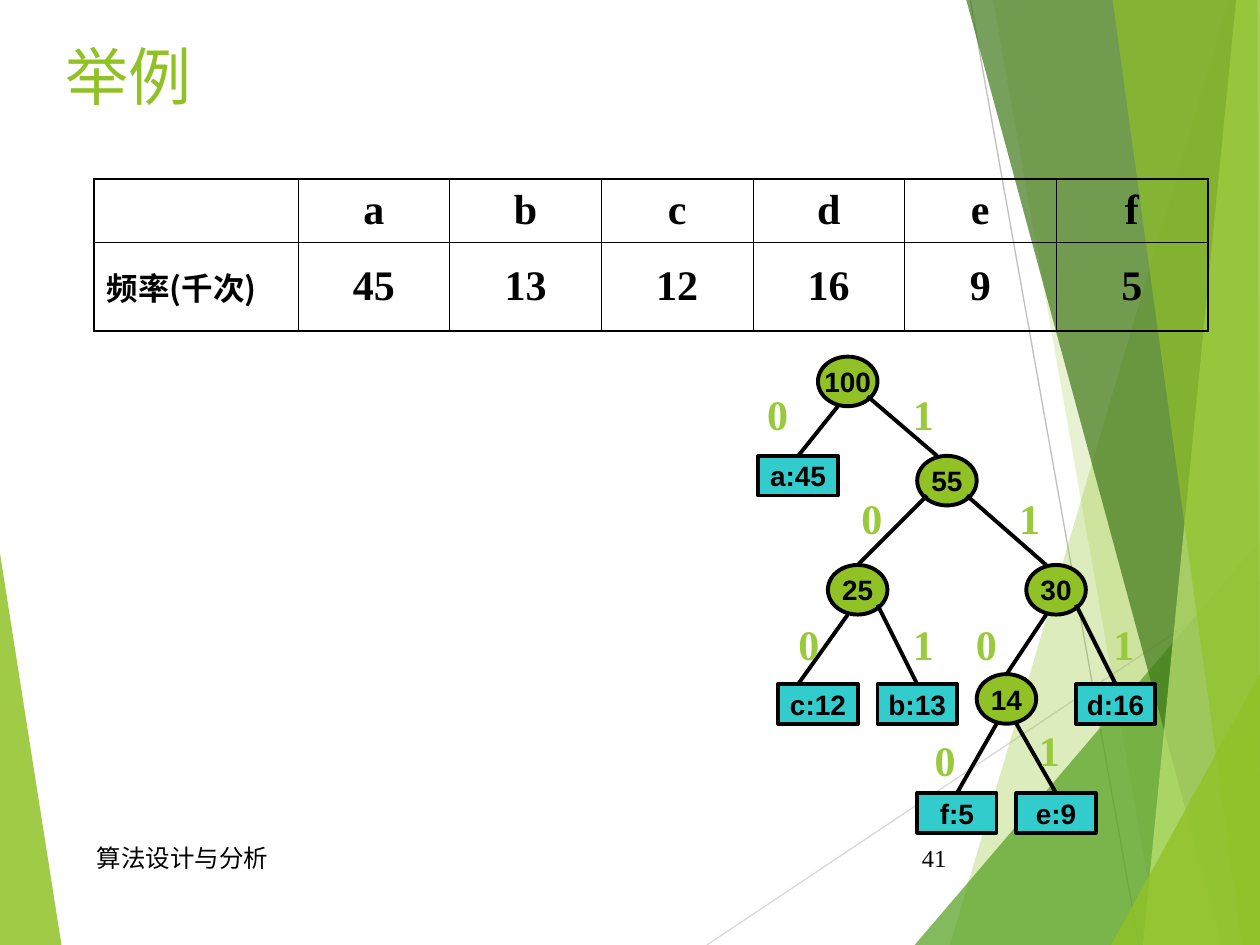
from lxml.etree import SubElement
from pptx import Presentation
from pptx.dml.color import RGBColor
from pptx.enum.shapes import MSO_CONNECTOR as Connector, MSO_SHAPE as Shape
from pptx.enum.text import MSO_ANCHOR as Anchor, PP_ALIGN as Align
from pptx.oxml import parse_xml
from pptx.oxml.ns import nsdecls, qn
from pptx.util import Cm, Pt

BLACK = RGBColor(0x00, 0x00, 0x00)
LIME = RGBColor(0x90, 0xC2, 0x26)
LABEL_GREEN = RGBColor(0x99, 0xCA, 0x3C)
LEAF_GREEN = RGBColor(0x54, 0xA0, 0x21)
DARK_GREEN = RGBColor(0x3F, 0x78, 0x19)
PALE_GREEN = RGBColor(0xC0, 0xE4, 0x74)
TURQUOISE = RGBColor(0x33, 0xCC, 0xCC)
LIGHT_GRAY = RGBColor(0xD9, 0xD9, 0xD9)
GRAY = RGBColor(0xBF, 0xBF, 0xBF)

SERIF = "Times New Roman"
WIDTH, HEIGHT = 25.4, 19.05

FACETS = [
    ([(24.77, 0), (19.15, HEIGHT), (WIDTH, HEIGHT), (WIDTH, 0)], LIME, 30),
    ([(20.02, 0), (23.37, HEIGHT), (WIDTH, HEIGHT), (WIDTH, 0)], LIME, 20),
    ([(18.44, HEIGHT), (WIDTH, 10.9), (WIDTH, HEIGHT)], LEAF_GREEN, 72),
    ([(19.48, 0), (24.64, HEIGHT), (WIDTH, HEIGHT), (WIDTH, 0)], DARK_GREEN, 70),
    ([(24.92, 0), (23.04, HEIGHT), (WIDTH, HEIGHT), (WIDTH, 0)], PALE_GREEN, 70),
    ([(22.43, 0), (25.04, HEIGHT), (WIDTH, HEIGHT), (25.35, 0)], LIME, 65),
    ([(22.4, HEIGHT), (WIDTH, 13.59), (WIDTH, HEIGHT)], LIME, 80),
]

FREQUENCIES = [
    ["", "a", "b", "c", "d", "e", "f"],
    ["频率(千次)", "45", "13", "12", "16", "9", "5"],
]

INNER_NODES = [
    ("100", 1.2, 0), ("25", 1.4, 4.2), ("55", 3.2, 2),
    ("14", 4.4, 6.4), ("30", 5.4, 4.2),
]
LEAVES = [
    ("a:45", 0, 2), ("b:13", 2.4, 6.6), ("c:12", 0.4, 6.6),
    ("d:16", 6.4, 6.6), ("e:9", 5.2, 8.8), ("f:5", 3.2, 8.8),
]
BRANCHES = [
    ((1.6, 1), (0.8, 2), "0", (-0.25, 0.51)),
    ((2.2, 0.8), (3.6, 2), "1", (2.69, 0.51)),
    ((3.4, 2.8), (2, 4.2), "0", (1.65, 2.61)),
    ((4.2, 2.8), (5.8, 4.2), "1", (4.83, 2.61)),
    ((1.8, 5.2), (0.8, 6.6), "0", (0.38, 5.15)),
    ((2.4, 5), (3.2, 6.6), "1", (2.69, 5.15)),
    ((5.8, 5.2), (5, 6.4), "0", (3.96, 5.15)),
    ((6.4, 5), (7.2, 6.6), "1", (6.73, 5.15)),
    ((4.8, 7.4), (4, 8.8), "0", (3.13, 7.49)),
    ((5.2, 7.4), (6, 8.8), "1", (5.23, 7.29)),
]


def write_text(frame, text, font_name, size, color=BLACK, bold=False,
               align=Align.LEFT, anchor=Anchor.MIDDLE):
    frame.vertical_anchor = anchor
    paragraph = frame.paragraphs[0]
    paragraph.text = text
    paragraph.alignment = align
    font = paragraph.font
    font.name, font.size, font.bold = font_name, Pt(size), bold
    font.color.rgb = color


def add_text(shapes, box, text, font_name, size, **style):
    frame = shapes.add_textbox(*map(Cm, box)).text_frame
    frame.word_wrap = True
    write_text(frame, text, font_name, size, **style)


def add_line(shapes, start, end, color, width):
    line = shapes.add_connector(Connector.STRAIGHT, *map(Cm, (*start, *end)))
    line.line.color.rgb = color
    line.line.width = Pt(width)
    SubElement(line._element.spPr, qn("a:effectLst"))


def add_facet(shapes, points, color, opacity):
    corners = [(Cm(x), Cm(y)) for x, y in points]
    builder = shapes.build_freeform(*corners[0])
    builder.add_line_segments(corners[1:], close=True)
    facet = builder.convert_to_shape()
    facet.shadow.inherit = False
    facet.line.fill.background()
    facet.fill.solid()
    facet.fill.fore_color.rgb = color
    color_element = facet._element.spPr.find(".//" + qn("a:srgbClr"))
    SubElement(color_element, qn("a:alpha"), val=str(opacity * 1000))


def add_backdrop(slide):
    shapes = slide.shapes.add_group_shape().shapes
    add_facet(shapes, [(0, 11.15), (1.24, HEIGHT), (0, HEIGHT)], LIME, 85)
    add_line(shapes, (14.25, HEIGHT), (WIDTH, 11.61), LIGHT_GRAY, 0.75)
    add_line(shapes, (19.56, 0), (22.96, HEIGHT), GRAY, 0.75)
    for points, color, opacity in FACETS:
        add_facet(shapes, points, color, opacity)


def set_borders(cell, widths):
    properties = cell._tc.get_or_add_tcPr()
    for index, (side, width) in enumerate(zip("LRTB", widths)):
        properties.insert(index, parse_xml(
            f'<a:ln{side} {nsdecls("a")} w="{Pt(width)}"><a:solidFill>'
            f'<a:srgbClr val="{BLACK}"/></a:solidFill></a:ln{side}>'))


def add_frequency_table(slide, left, top, width, height):
    row_count, column_count = len(FREQUENCIES), len(FREQUENCIES[0])
    table = slide.shapes.add_table(
        row_count, column_count, *map(Cm, (left, top, width, height))).table
    heading_width, heading_height = 4.11, 1.27
    for index, column in enumerate(table.columns):
        column.width = Cm((width - heading_width) / (column_count - 1)
                          if index else heading_width)
    table.rows[0].height = Cm(heading_height)
    table.rows[1].height = Cm(height - heading_height)
    for row, values in enumerate(FREQUENCIES):
        for column, value in enumerate(values):
            cell = table.cell(row, column)
            cell.fill.background()
            outer_sides = (column == 0, column == column_count - 1,
                           row == 0, row == row_count - 1)
            set_borders(cell, [1.08 if outer else 0.45 for outer in outer_sides])
            if column:
                write_text(cell.text_frame, value, SERIF, 24, bold=True, align=Align.CENTER)
            elif value:
                write_text(cell.text_frame, value, "Noto Sans CJK SC", 18, bold=True)
            cell.vertical_anchor = Anchor.MIDDLE


def add_node(shapes, kind, box, text, color):
    node = shapes.add_shape(kind, *map(Cm, box))
    node.shadow.inherit = False
    node.fill.solid()
    node.fill.fore_color.rgb = color
    node.line.color.rgb = BLACK
    node.line.width = Pt(2.25)
    node.text_frame.word_wrap = False
    write_text(node.text_frame, text, "Arial", 16, bold=True, align=Align.CENTER)


def add_code_tree(slide, left, top):
    shapes = slide.shapes.add_group_shape().shapes
    for text, x, y in INNER_NODES:
        add_node(shapes, Shape.OVAL, (left + x, top + y, 1.2, 1), text, LIME)
    for text, x, y in LEAVES:
        add_node(shapes, Shape.RECTANGLE, (left + x, top + y, 1.6, 0.8), text, TURQUOISE)
    for start, end, bit, (x, y) in BRANCHES:
        add_line(shapes, (left + start[0], top + start[1]),
                 (left + end[0], top + end[1]), BLACK, 2.25)
        add_text(shapes, (left + x, top + y, 1.27, 1.27), bit, SERIF, 24,
                 color=LABEL_GREEN, bold=True, align=Align.CENTER, anchor=Anchor.TOP)


def add_footer(slide, left, top, width, height):
    number_width = 1.42
    add_text(slide.shapes, (left, top, 12.85, height), "算法设计与分析", SERIF, 14)
    add_text(slide.shapes, (left + width - number_width, top, number_width, height),
             "41", SERIF, 14, align=Align.RIGHT)


def main():
    presentation = Presentation()
    presentation.slide_width, presentation.slide_height = Cm(WIDTH), Cm(HEIGHT)
    slide = presentation.slides.add_slide(presentation.slide_layouts[6])
    add_backdrop(slide)
    add_text(slide.shapes, (1.07, 0.64, 21.59, 2.54), "举例", "Lato", 36,
             color=LIME, anchor=Anchor.TOP)
    add_footer(slide, 1.7, 16.79, 17.63, 1.02)
    add_code_tree(slide, 15.29, 7.19)
    add_frequency_table(slide, 1.9, 3.61, 22.45, 3.06)
    presentation.save("out.pptx")


if __name__ == "__main__":
    main()
